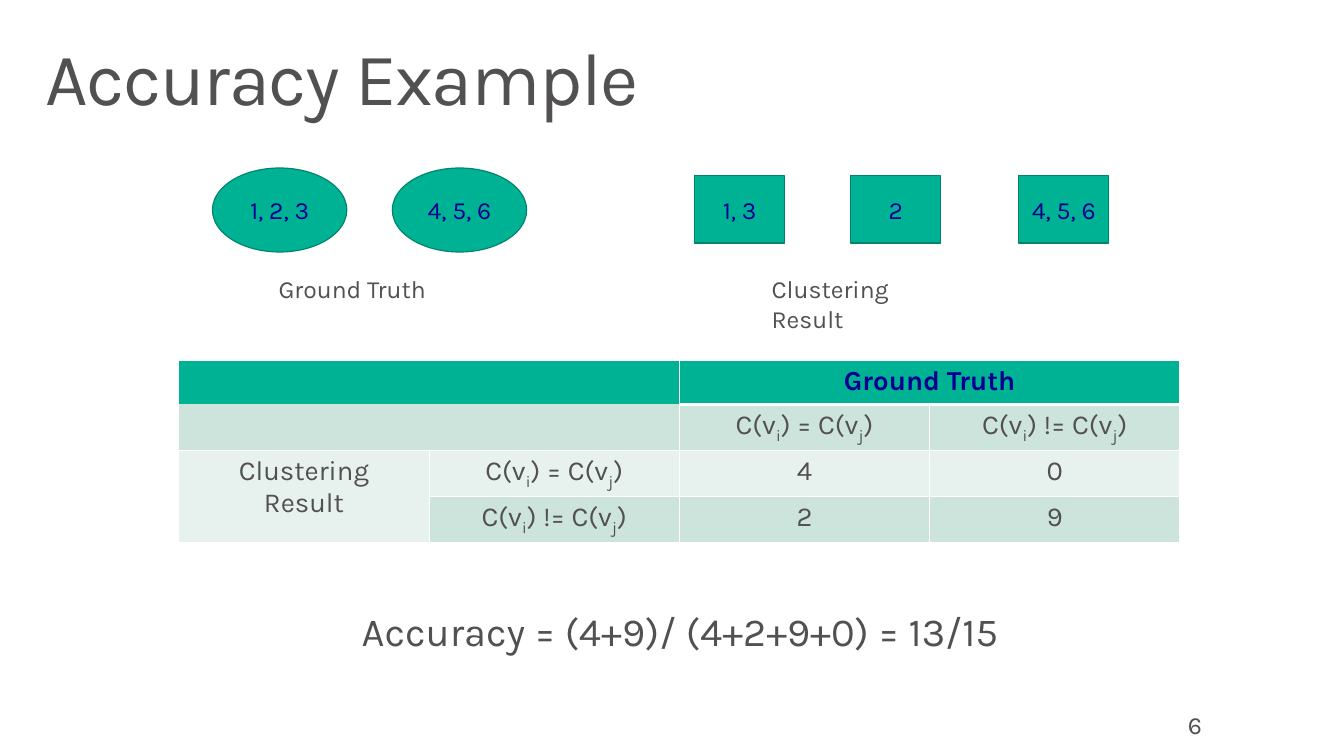
"""Build the accuracy example slide, with clusters, pair counts and the resulting score."""
from dataclasses import dataclass

from lxml import etree
from pptx import Presentation
from pptx.dml.color import RGBColor
from pptx.enum import shapes, text
from pptx.oxml import ns
from pptx.util import Inches, Pt


@dataclass(frozen=True)
class Theme:
    font: str = "Karla"
    ink: str = "525051"
    navy: str = "000090"
    green: str = "00B294"
    outline: str = "00846D"
    mint: str = "CCE4DC"
    pale: str = "E7F2EE"
    white: str = "FFFFFF"
    title: float = 54
    formula: float = 29
    cell: float = 20
    label: float = 18


@dataclass(frozen=True)
class Cluster:
    members: str
    left: float
    top: float
    width: float
    height: float
    kind: shapes.MSO_SHAPE


@dataclass(frozen=True)
class Label:
    words: str
    left: float
    top: float
    width: float
    height: float
    size: float
    inset: tuple[float, float] = (0.1, 0.05)
    wrap: bool = False


@dataclass(frozen=True)
class PairCell:
    row: int
    column: int
    words: str
    fill: str


THEME = Theme()
SAME, DIFFERENT = "C(v_i) = C(v_j)", "C(v_i) != C(v_j)"
ELLIPSE, SQUARE = shapes.MSO_SHAPE.OVAL, shapes.MSO_SHAPE.RECTANGLE

CLUSTERS = [
    *(Cluster(members, left, 1.7, 1.36, 0.85, ELLIPSE)
      for members, left in (("1, 2, 3", 2.15), ("4, 5, 6", 3.97))),
    *(Cluster(members, left, 1.78, 0.91, 0.68, SQUARE)
      for members, left in (("1, 3", 7.03), ("2", 8.61), ("4, 5, 6", 10.31))),
]
LABELS = [
    Label("6", 11.9, 7.12, 1.02, 0.53, THEME.label, (0.12, 0.06), True),
    Label("Ground Truth", 2.72, 2.72, 1.69, 0.4, THEME.label),
    Label("Clustering Result", 7.71, 2.72, 1.9, 0.69, THEME.label, wrap=True),
    Label("Accuracy = (4+9)/ (4+2+9+0) = 13/15", 3.54, 6.08, 6.95, 0.61,
          THEME.formula, (0.12, 0.06)),
]
PAIR_ROWS = [
    (THEME.green, ["", "", "Ground Truth", ""]),
    (THEME.mint, ["", "", SAME, DIFFERENT]),
    (THEME.pale, ["Clustering\nResult", SAME, "4", "0"]),
    (THEME.mint, ["", DIFFERENT, "2", "9"]),
]
MERGES = [((0, 0), (0, 1)), ((0, 2), (0, 3)), ((1, 0), (1, 1)), ((2, 0), (3, 0))]


def set_font(para, size: float, color: str, bold: bool = False) -> None:
    """Give a paragraph the slide font."""
    para.font.name = THEME.font
    para.font.size = Pt(size)
    para.font.bold = bold
    para.font.color.rgb = RGBColor.from_string(color)


def set_insets(frame, across: float, down: float) -> None:
    """Set equal side insets and equal top and bottom insets."""
    frame.margin_left = frame.margin_right = Inches(across)
    frame.margin_top = frame.margin_bottom = Inches(down)


def add_title(page) -> None:
    """Place and format the title placeholder."""
    title = page.shapes.title
    title.left, title.top = Inches(0.3), Inches(0.32)
    title.width, title.height = Inches(13), Inches(1)
    frame = title.text_frame
    set_insets(frame, 0.16, 0.1)
    frame.vertical_anchor = text.MSO_ANCHOR.TOP
    para = frame.paragraphs[0]
    span = para.add_run()
    span.text = "Accuracy Example"
    span.font._element.set("spc", "-100")
    para.alignment = text.PP_ALIGN.LEFT
    para.line_spacing = 0.9
    set_font(para, THEME.title, THEME.ink)


def add_cluster(page, cluster: Cluster) -> None:
    """Draw one cluster with its members."""
    shape = page.shapes.add_shape(
        cluster.kind, Inches(cluster.left), Inches(cluster.top),
        Inches(cluster.width), Inches(cluster.height))
    shape.shadow.inherit = False
    shape.fill.solid()
    shape.fill.fore_color.rgb = RGBColor.from_string(THEME.green)
    shape.line.color.rgb = RGBColor.from_string(THEME.outline)
    shape.line.width = Pt(0.85)
    frame = shape.text_frame
    frame.vertical_anchor = text.MSO_ANCHOR.MIDDLE
    para = frame.paragraphs[0]
    para.text = cluster.members
    para.alignment = text.PP_ALIGN.CENTER
    set_font(para, THEME.label, THEME.navy)


def add_label(page, label: Label) -> None:
    """Add one line of free text."""
    box = page.shapes.add_textbox(
        Inches(label.left), Inches(label.top), Inches(label.width), Inches(label.height))
    frame = box.text_frame
    frame.word_wrap = label.wrap
    set_insets(frame, *label.inset)
    para = frame.paragraphs[0]
    para.text = label.words
    set_font(para, label.size, THEME.ink)


def add_formula_runs(para, words: str) -> None:
    """Write text in which the letter after an underscore is a subscript."""
    first, *rest = words.split("_")
    para.add_run().text = first
    for piece in rest:
        subscript = para.add_run()
        subscript.text = piece[0]
        subscript.font._element.set("baseline", "-25000")
        para.add_run().text = piece[1:]


def set_borders(cell, top: float, bottom: float) -> None:
    """Give a cell white borders, leaving out those of zero width."""
    properties = cell._tc.get_or_add_tcPr()
    for side, width in (("L", 1), ("R", 1), ("T", top), ("B", bottom)):
        line = etree.SubElement(properties, ns.qn(f"a:ln{side}"), w=str(Pt(width)))
        if width:
            paint = etree.SubElement(line, ns.qn("a:solidFill"))
            etree.SubElement(paint, ns.qn("a:srgbClr"), val=THEME.white)
        else:
            etree.SubElement(line, ns.qn("a:noFill"))


def fill_cell(cell, pair: PairCell) -> None:
    """Format one table cell and write its text."""
    header_edge = 3 if pair.column >= 2 else 0
    set_borders(cell, top=header_edge if pair.row == 1 else 1,
                bottom=header_edge if pair.row == 0 else 1)
    cell.fill.solid()
    cell.fill.fore_color.rgb = RGBColor.from_string(pair.fill)
    set_insets(cell, 0.14, 0.05)
    header = pair.row == 0
    frame = cell.text_frame
    for index, words in enumerate(pair.words.split("\n")):
        para = frame.add_paragraph() if index else frame.paragraphs[0]
        if words:
            add_formula_runs(para, words)
        para.alignment = text.PP_ALIGN.CENTER
        set_font(para, THEME.cell, THEME.navy if header else THEME.ink, header)


def add_pair_table(page) -> None:
    """Add the table of pair counts."""
    table = page.shapes.add_table(
        len(PAIR_ROWS), 4, Inches(1.81), Inches(3.65), Inches(10.13), Inches(1.77)).table
    table.first_row = table.horz_banding = False
    for row, (fill, entries) in enumerate(PAIR_ROWS):
        for column, words in enumerate(entries):
            fill_cell(table.cell(row, column), PairCell(row, column, words, fill))
    for start, end in MERGES:
        table.cell(*start).merge(table.cell(*end))


def main() -> None:
    """Build and save the deck."""
    deck = Presentation()
    deck.slide_width, deck.slide_height = Inches(13.6), Inches(7.65)
    page = deck.slides.add_slide(deck.slide_layouts[5])
    add_title(page)
    add_pair_table(page)
    for cluster in CLUSTERS:
        add_cluster(page, cluster)
    for label in LABELS:
        add_label(page, label)
    deck.save("out.pptx")


if __name__ == "__main__":
    main()
